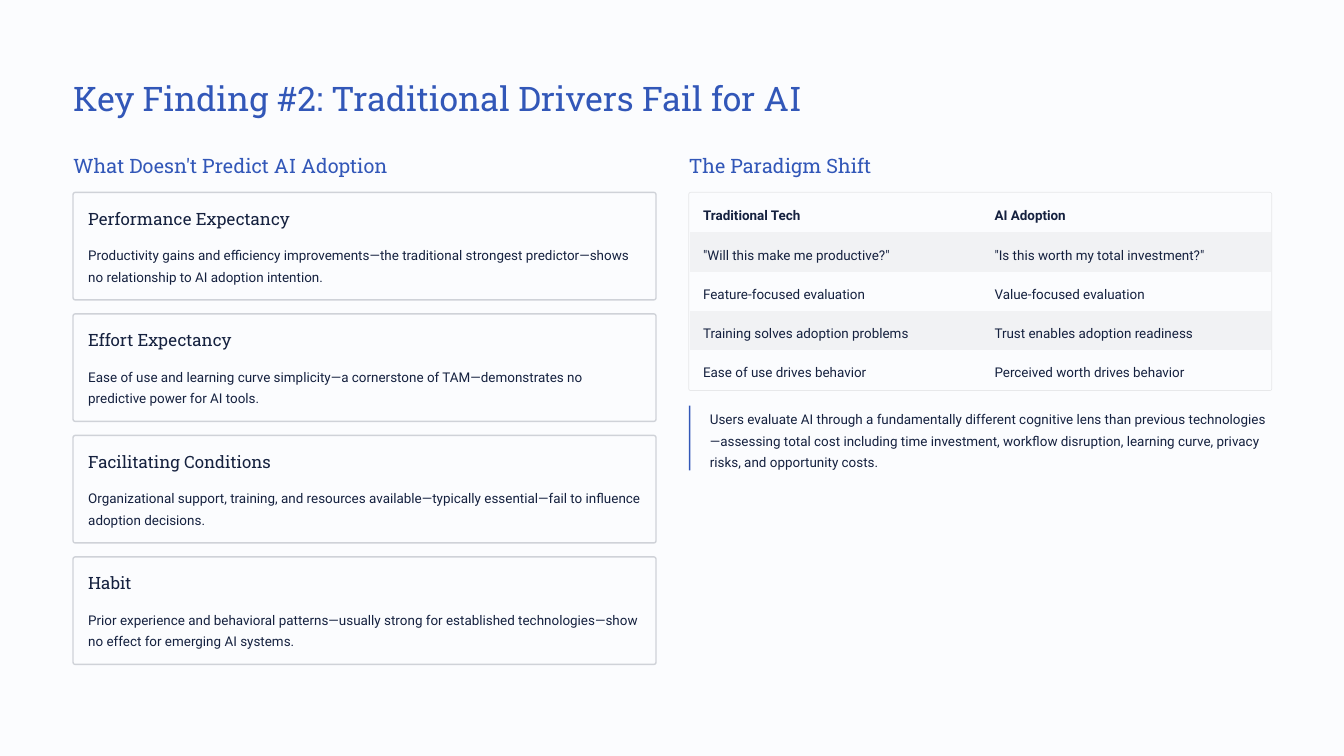
import pptx
import pptx.util
import pptx.dml.color
import pptx.enum.shapes
from dataclasses import dataclass

Inches = pptx.util.Inches
Pt = pptx.util.Pt
SHAPE = pptx.enum.shapes.MSO_SHAPE


@dataclass(frozen=True)
class Style:
    size: float
    lead: float
    font: str
    color: str
    bold: bool = False


class Theme:
    paper = "FBFCFE"
    blue = "3257B8"
    ink = "15213F"
    edge = "CFD2D8"
    frame = "E7E8EA"
    band = "F1F2F4"
    title = Style(29, 36, "Roboto Slab", blue)
    head = Style(17, 21.5, "Roboto Slab", blue)
    card = Style(14.5, 18, "Roboto Slab", ink)
    body = Style(11.5, 18.5, "Roboto", ink)
    label = Style(11.5, 18.5, "Roboto", ink, True)


CARDS = [
    ("Performance Expectancy",
     "Productivity gains and efficiency improvements—the traditional strongest "
     "predictor—shows no relationship to AI adoption intention."),
    ("Effort Expectancy",
     "Ease of use and learning curve simplicity—a cornerstone of TAM—demonstrates "
     "no predictive power for AI tools."),
    ("Facilitating Conditions",
     "Organizational support, training, and resources available—typically "
     "essential—fail to influence adoption decisions."),
    ("Habit",
     "Prior experience and behavioral patterns—usually strong for established "
     "technologies—show no effect for emerging AI systems."),
]
ROWS = [
    ("Traditional Tech", "AI Adoption"),
    ('"Will this make me productive?"', '"Is this worth my total investment?"'),
    ("Feature-focused evaluation", "Value-focused evaluation"),
    ("Training solves adoption problems", "Trust enables adoption readiness"),
    ("Ease of use drives behavior", "Perceived worth drives behavior"),
]
NOTE = ("Users evaluate AI through a fundamentally different cognitive lens than "
        "previous technologies—assessing total cost including time investment, "
        "workflow disruption, learning curve, privacy risks, and opportunity costs.")
LEFT, RIGHT, TOP, WIDTH = 0.87, 8.2, 2.29, 6.94
CARD_H, CARD_END = 1.28, 7.91


def rgb(code):
    return pptx.dml.color.RGBColor.from_string(code)


def paint(item, code):
    item.fill.solid()
    item.fill.fore_color.rgb = rgb(code)


def write(frame, text, style):
    frame.text = text
    para = frame.paragraphs[0]
    para.line_spacing = Pt(style.lead)
    font = para.font
    font.name, font.size, font.bold = style.font, Pt(style.size), style.bold
    font.color.rgb = rgb(style.color)


def add_text(slide, text, style, x, y, w, h):
    frame = slide.shapes.add_textbox(Inches(x), Inches(y), Inches(w), Inches(h)).text_frame
    frame.margin_left = frame.margin_right = frame.margin_top = frame.margin_bottom = 0
    frame.word_wrap = True
    write(frame, text, style)


def add_box(slide, kind, x, y, w, h, fill, line=None, width=0, round=0):
    box = slide.shapes.add_shape(kind, Inches(x), Inches(y), Inches(w), Inches(h))
    box.shadow.inherit = False
    paint(box, fill)
    if line:
        box.line.color.rgb = rgb(line)
        box.line.width = Pt(width)
        box.adjustments[0] = round
    else:
        box.line.fill.background()


def add_card(slide, y, name, text):
    add_box(slide, SHAPE.ROUNDED_RECTANGLE, LEFT, y, WIDTH, CARD_H,
            Theme.paper, Theme.edge, 1.2, 0.02)
    add_text(slide, name, Theme.card, LEFT + 0.18, y + 0.18, 3, 0.25)
    add_text(slide, text, Theme.body, LEFT + 0.18, y + 0.59, 6.58, 0.52)


def add_grid(slide):
    add_box(slide, SHAPE.ROUNDED_RECTANGLE, RIGHT, TOP, WIDTH, 2.36,
            Theme.paper, Theme.frame, 0.6, 0.01)
    holder = slide.shapes.add_table(len(ROWS), 2, Inches(RIGHT + 0.01), Inches(TOP + 0.01),
                                    Inches(6.92), Inches(2.34))
    table = holder.table
    table.first_row = table.horz_banding = False
    for node in holder._element.iter("{*}tableStyleId"):
        node.text = "{2D5ABB26-0587-4C30-8999-92F81FD0307C}"
    for col, width in zip(table.columns, (3.47, 3.45)):
        col.width = Inches(width)
    for r, row in enumerate(ROWS):
        for c, text in enumerate(row):
            cell = table.cell(r, c)
            cell.margin_left = cell.margin_right = Inches(0.16)
            cell.margin_top, cell.margin_bottom = Inches(0.11), Inches(0.05)
            paint(cell, Theme.band if r % 2 else Theme.paper)
            write(cell.text_frame, text, Theme.body if r else Theme.label)


def main():
    deck = pptx.Presentation()
    deck.slide_width, deck.slide_height = Inches(16), Inches(9)
    slide = deck.slides.add_slide(deck.slide_layouts[6])
    paint(slide.background, Theme.paper)
    add_text(slide, "Key Finding #2: Traditional Drivers Fail for AI",
             Theme.title, LEFT, 0.91, 9.5, 0.5)
    add_text(slide, "What Doesn't Predict AI Adoption", Theme.head, LEFT, 1.81, 4.5, 0.3)
    step = (CARD_END - CARD_H - TOP) / (len(CARDS) - 1)
    for i, (name, text) in enumerate(CARDS):
        add_card(slide, TOP + i * step, name, text)
    add_text(slide, "The Paradigm Shift", Theme.head, RIGHT, 1.81, 3, 0.3)
    add_grid(slide)
    add_text(slide, NOTE, Theme.body, RIGHT + 0.25, 4.83, 6.69, 0.77)
    add_box(slide, SHAPE.RECTANGLE, RIGHT, 4.83, 0.02, 0.77, Theme.blue)
    deck.save("out.pptx")


if __name__ == "__main__":
    main()
